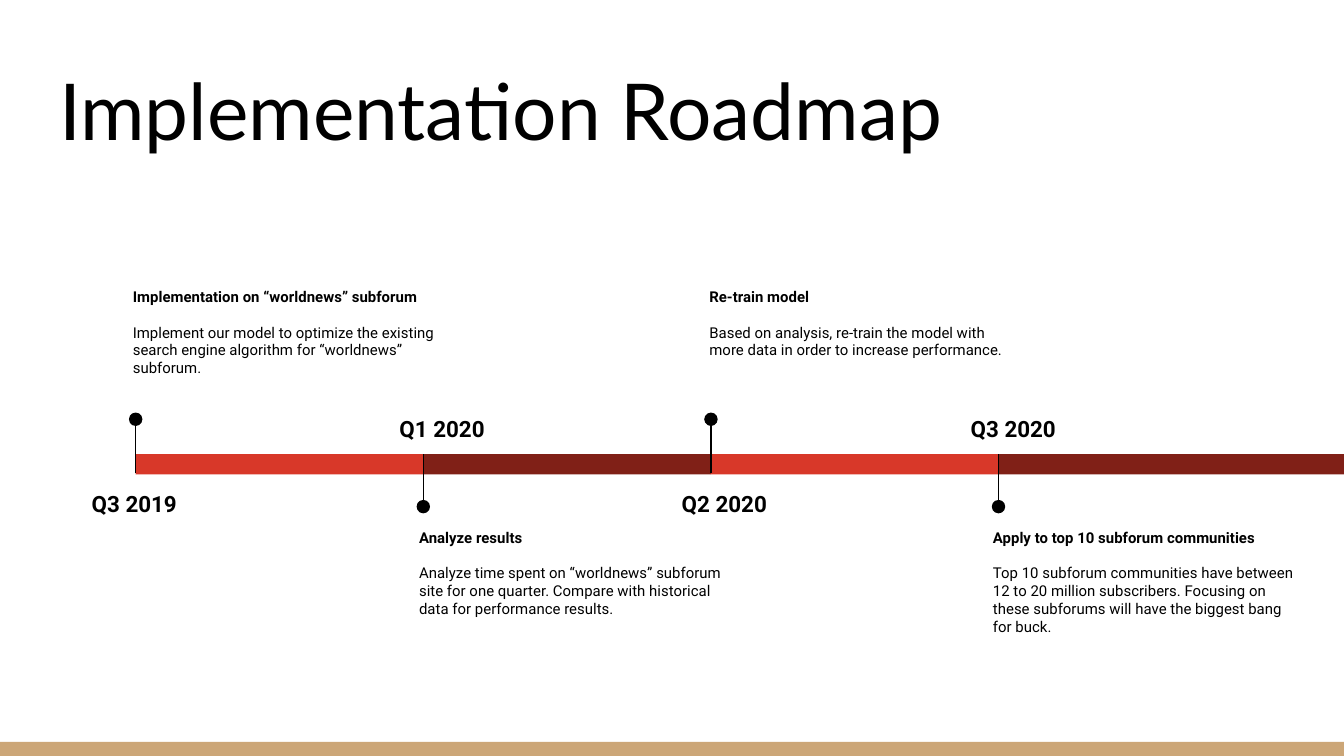
from lxml import etree
from pptx import Presentation
from pptx.dml.color import RGBColor
from pptx.enum.shapes import MSO_CONNECTOR as LINE, MSO_SHAPE as SHAPE
from pptx.enum.text import MSO_ANCHOR as ANCHOR, MSO_AUTO_SIZE as AUTO, PP_ALIGN as ALIGN
from pptx.oxml.ns import qn
from pptx.util import Inches, Pt

COLORS = {"black": "000000", "red": "D83829", "maroon": "802017", "tan": "CCA677"}
START, STEP, SLIDE_WIDTH = 1.01, 2.14, 10
BAR_TOP, BAR_HEIGHT, DOT = 3.38, 0.15, 0.1

# date, date left, text left, heading, body
MILESTONES = [
    ("Q3 2019", 0.5, 0.89, "Implementation on “worldnews” subforum",
     "Implement our model to optimize the existing search engine algorithm "
     "for “worldnews” subforum."),
    ("Q1 2020", 2.79, 3.02, "Analyze results",
     "Analyze time spent on “worldnews” subforum site for one quarter. "
     "Compare with historical data for performance results."),
    ("Q2 2020", 4.89, 5.18, "Re-train model",
     "Based on analysis, re-train the model with more data in order to "
     "increase performance."),
    ("Q3 2020", 7.04, 7.29, "Apply to top 10 subforum communities",
     "Top 10 subforum communities have between 12 to 20 million subscribers. "
     "Focusing on these subforums will have the biggest bang for buck."),
]

prs = Presentation()
prs.slide_width, prs.slide_height = Inches(SLIDE_WIDTH), Inches(5.625)
s = prs.slides.add_slide(prs.slide_layouts[5])


def add_filled(kind, left, top, width, height, color):
    sp = s.shapes.add_shape(kind, Inches(left), Inches(top), Inches(width), Inches(height))
    sp.shadow.inherit = False
    sp.fill.solid()
    sp.fill.fore_color.rgb = RGBColor.from_string(COLORS[color])
    sp.line.fill.background()


def write(sp, lines, font="Roboto"):
    """Fill a text shape with one paragraph per (text, size, bold) and return them."""
    tf = sp.text_frame
    tf.word_wrap = True
    tf.auto_size = AUTO.NONE
    tf.margin_left = tf.margin_right = tf.margin_top = tf.margin_bottom = Inches(0.1)
    tf.text = "\n".join(text for text, _, _ in lines)
    for p, (_, size, bold) in zip(tf.paragraphs, lines):
        p.font.name, p.font.size, p.font.bold = font, Pt(size), bold
        p.font.color.rgb = RGBColor.from_string(COLORS["black"])
    return tf.paragraphs


add_filled(SHAPE.RECTANGLE, 0, 5.52, SLIDE_WIDTH, 0.11, "tan")

title = s.shapes.title
title.left, title.top = Inches(0.34), Inches(0.35)
title.width, title.height = Inches(9.32), Inches(0.91)
write(title, [("Implementation Roadmap", 42, False)], "Lato")[0].alignment = ALIGN.LEFT
title.text_frame.vertical_anchor = ANCHOR.BOTTOM

for i, (date, date_left, text_left, heading, body) in enumerate(MILESTONES):
    x = START + i * STEP
    above = i % 2 == 0
    width = SLIDE_WIDTH - x if i == len(MILESTONES) - 1 else STEP
    add_filled(SHAPE.RECTANGLE, x, BAR_TOP, width, BAR_HEIGHT, "red" if above else "maroon")

    stem_top, stem_bottom = (3.13, 3.52) if above else (BAR_TOP, 3.77)
    stem = s.shapes.add_connector(LINE.STRAIGHT, Inches(x), Inches(stem_top),
                                  Inches(x), Inches(stem_bottom))
    stem.line.color.rgb = RGBColor.from_string(COLORS["black"])
    stem.line.width = Pt(0.75)
    etree.SubElement(stem._element.spPr, qn("a:effectLst"))
    add_filled(SHAPE.OVAL, x - DOT / 2, 3.07 if above else 3.72, DOT, DOT, "black")

    date_box = s.shapes.add_textbox(Inches(date_left), Inches(3.52 if above else 2.96),
                                    Inches(1), Inches(0.41))
    p = write(date_box, [(date, 12, True)])[0]
    p.alignment = ALIGN.CENTER
    p.line_spacing = 1.15

    text_box = s.shapes.add_textbox(Inches(text_left), Inches(2.04 if above else 3.83),
                                    Inches(2.46), Inches(1.03))
    write(text_box, [(heading, 8, True), (body, 8, False)])[0].space_after = Pt(9.5)

prs.save("out.pptx")
